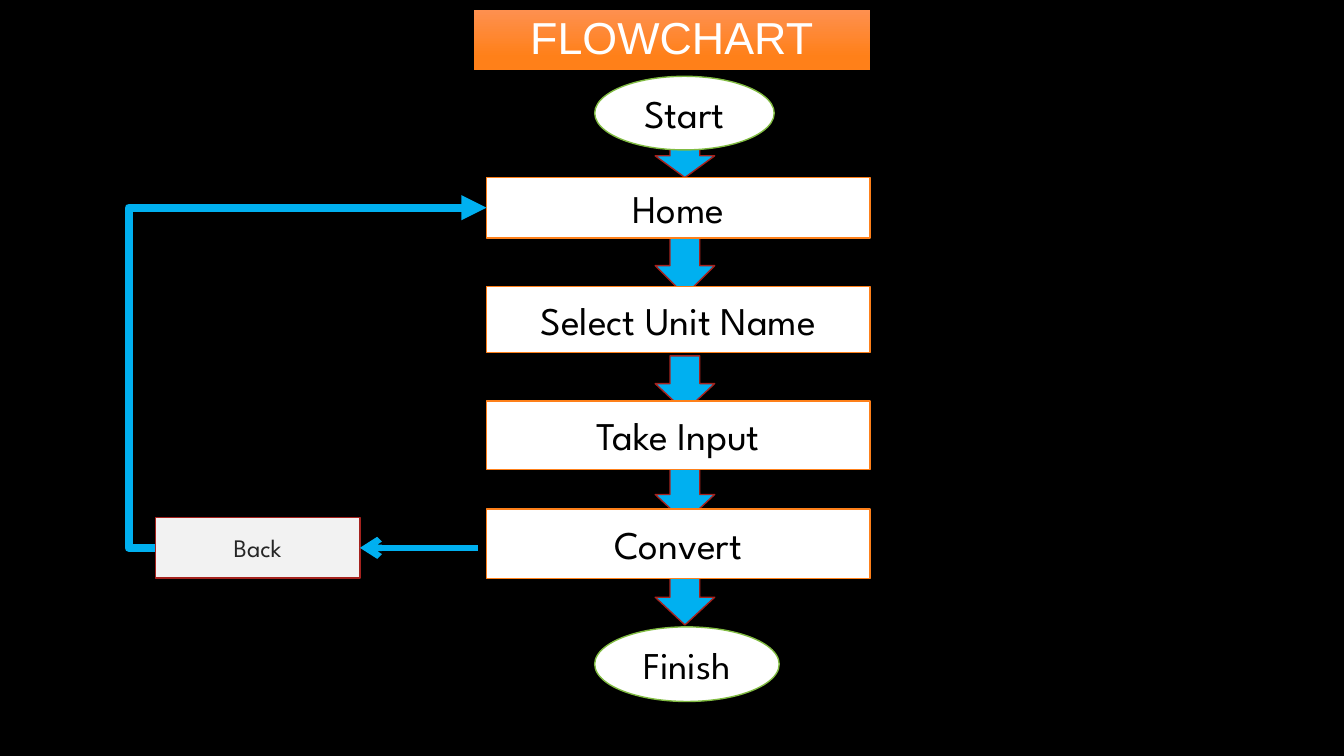
import dataclasses

import pptx
import pptx.dml.color
import pptx.enum.dml
import pptx.enum.shapes
import pptx.enum.text
import pptx.oxml
import pptx.oxml.ns
import pptx.util

Pt = pptx.util.Pt
Shape = pptx.enum.shapes.MSO_SHAPE
Connector = pptx.enum.shapes.MSO_CONNECTOR
NAMESPACE = pptx.oxml.ns.nsdecls("a")


@dataclasses.dataclass(frozen=True)
class Theme:
    background: str = "000000"
    white: str = "FFFFFF"
    black: str = "000000"
    title_top: str = "FE904F"
    title_bottom: str = "FF8019"
    arrow: str = "00B0F0"
    red: str = "A5221E"
    green: str = "81BB42"
    orange: str = "FE801A"
    back_fill: str = "F2F2F2"
    back_text: str = "262626"
    title_font: str = "Arial"
    step_font: str = "League Spartan"
    title_size: float = 32
    step_size: float = 28
    finish_size: float = 27
    back_size: float = 18
    outline: float = 1


def rgb(value):
    return pptx.dml.color.RGBColor.from_string(value)


class FlowchartPage:
    def __init__(self, deck, theme):
        self.theme = theme
        self.page = deck.slides.add_slide(deck.slide_layouts[5])
        fill = self.page.background.fill
        fill.solid()
        fill.fore_color.rgb = rgb(theme.background)

    def label(self, shape, text, font, size, color):
        frame = shape.text_frame
        frame.text = text
        frame.word_wrap = True
        frame.auto_size = pptx.enum.text.MSO_AUTO_SIZE.NONE
        frame.vertical_anchor = pptx.enum.text.MSO_ANCHOR.MIDDLE
        para = frame.paragraphs[0]
        para.alignment = pptx.enum.text.PP_ALIGN.CENTER
        span = para.runs[0]
        span.font.name = font
        span.font.size = Pt(size)
        span.font.color.rgb = rgb(color)
        return para

    def title(self, text, left, top, width, height):
        theme = self.theme
        banner = self.page.shapes.title
        banner.left, banner.top = Pt(left), Pt(top)
        banner.width, banner.height = Pt(width), Pt(height)
        para = self.label(banner, text, theme.title_font, theme.title_size, theme.white)
        para.line_spacing = 0.9
        # Gradient running from top to bottom
        banner.fill.gradient()
        banner.fill.gradient_angle = 270
        colors = ((0, theme.title_top), (0.78, theme.title_bottom))
        for stop, (position, color) in zip(banner.fill.gradient_stops, colors):
            stop.position = position
            stop.color.rgb = rgb(color)
        # Soft shadow below
        banner.shadow.inherit = False
        effects = banner._element.spPr.find(pptx.oxml.ns.qn("a:effectLst"))
        effects.append(pptx.oxml.parse_xml(
            f'<a:outerShdw {NAMESPACE} blurRad="{Pt(4.5)}" dist="{Pt(1.5)}" '
            'dir="5400000" rotWithShape="0"><a:srgbClr val="000000">'
            '<a:alpha val="48000"/></a:srgbClr></a:outerShdw>'))

    def shape(self, kind, left, top, width, height, fill, line):
        box = self.page.shapes.add_shape(kind, Pt(left), Pt(top), Pt(width), Pt(height))
        box.shadow.inherit = False
        box.fill.solid()
        box.fill.fore_color.rgb = rgb(fill)
        box.line.color.rgb = rgb(line)
        box.line.width = Pt(self.theme.outline)
        return box

    def step(self, kind, text, left, top, width, height, line,
             fill=None, size=None, color=None):
        theme = self.theme
        box = self.shape(kind, left, top, width, height, fill or theme.white, line)
        self.label(box, text, theme.step_font, size or theme.step_size,
                   color or theme.black)
        return box

    def connector(self, kind, start, end, width, head):
        link = self.page.shapes.add_connector(kind, *map(Pt, start + end))
        link.line.color.rgb = rgb(self.theme.arrow)
        link.line.width = Pt(width)
        outline = link._element.spPr.find(pptx.oxml.ns.qn("a:ln"))
        outline.append(
            pptx.oxml.parse_xml(f'<a:tailEnd {NAMESPACE} type="{head}"/>'))
        link._element.spPr.append(pptx.oxml.parse_xml(f"<a:effectLst {NAMESPACE}/>"))
        return link

    def elbow(self, start, end, width, head, bend):
        link = self.connector(Connector.ELBOW, start, end, width, head)
        guides = link._element.spPr.find(".//" + pptx.oxml.ns.qn("a:avLst"))
        guides.append(pptx.oxml.parse_xml(
            f'<a:gd {NAMESPACE} name="adj1" fmla="val {round(bend * 100000)}"/>'))
        return link


def main():
    theme = Theme()
    deck = pptx.Presentation()
    deck.slide_width, deck.slide_height = Pt(960), Pt(540)
    chart = FlowchartPage(deck, theme)

    chart.title("FLOWCHART", 338.4, 7.2, 283, 42.5)

    # Down arrows, behind the steps
    for top, height in ((406.8, 39.6), (333.4, 39.6), (254.2, 39.6),
                        (160.6, 50.4), (95.8, 31)):
        chart.shape(Shape.DOWN_ARROW, 468, top, 42.5, height, theme.arrow, theme.red)

    # Main column
    chart.step(Shape.OVAL, "Start", 424.8, 54.5, 128.2, 52.6, theme.green)
    for text, top, height in (("Home", 126.7, 43.4), ("Select Unit Name", 204.5, 47.5),
                              ("Take Input", 286.4, 48.8), ("Convert", 363.6, 49.5)):
        chart.step(Shape.RECTANGLE, text, 347.6, top, 273.8, height, theme.orange)
    chart.step(Shape.OVAL, "Finish", 424.8, 447.8, 131.8, 53.3, theme.green,
               size=theme.finish_size)

    # Way back to Home
    back = chart.step(Shape.RECTANGLE, "Back", 110.9, 369.6, 146.2, 43.4, theme.red,
                      theme.back_fill, theme.back_size, theme.back_text)
    link = chart.connector(Connector.STRAIGHT, (341.3, 391.3), (257.1, 391.3),
                           4.5, "arrow")
    link.end_connect(back, 3)
    chart.elbow((110.9, 391.3), (347.6, 148.4), 6, "triangle", -0.08)

    deck.save("out.pptx")


if __name__ == "__main__":
    main()
